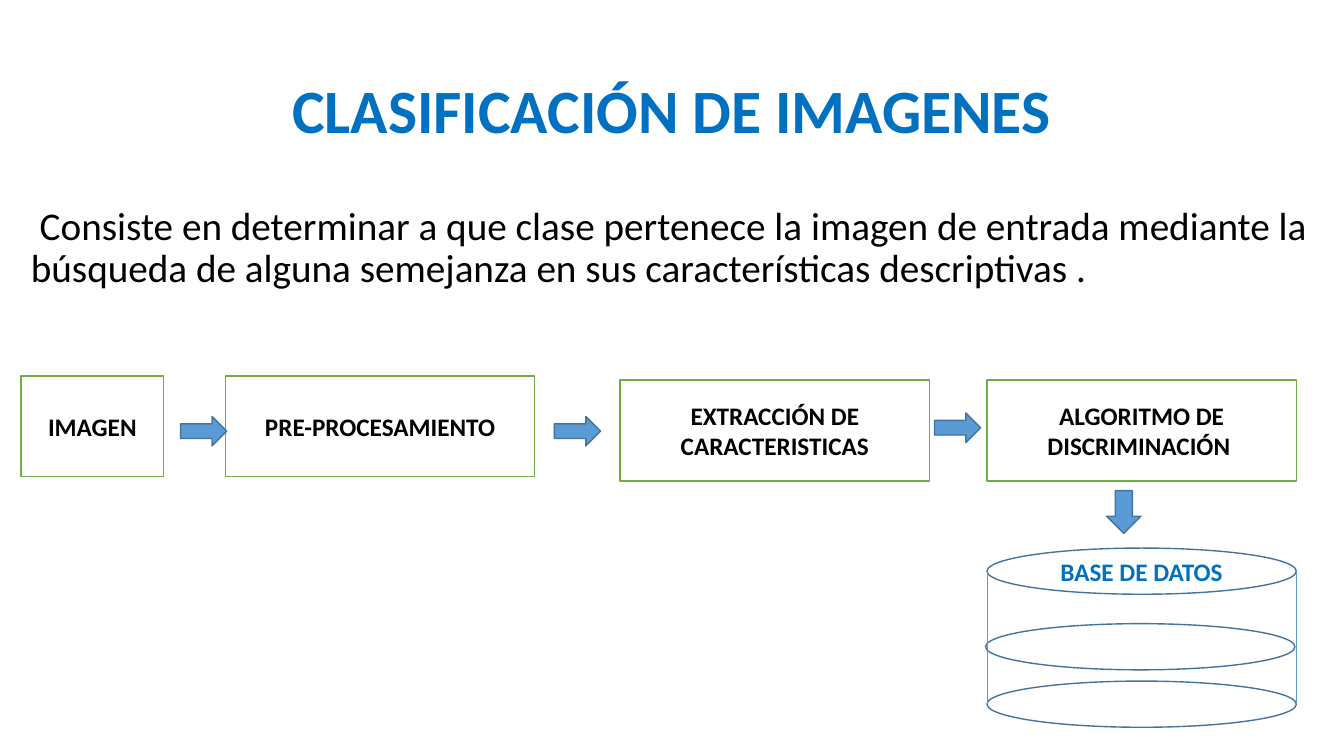
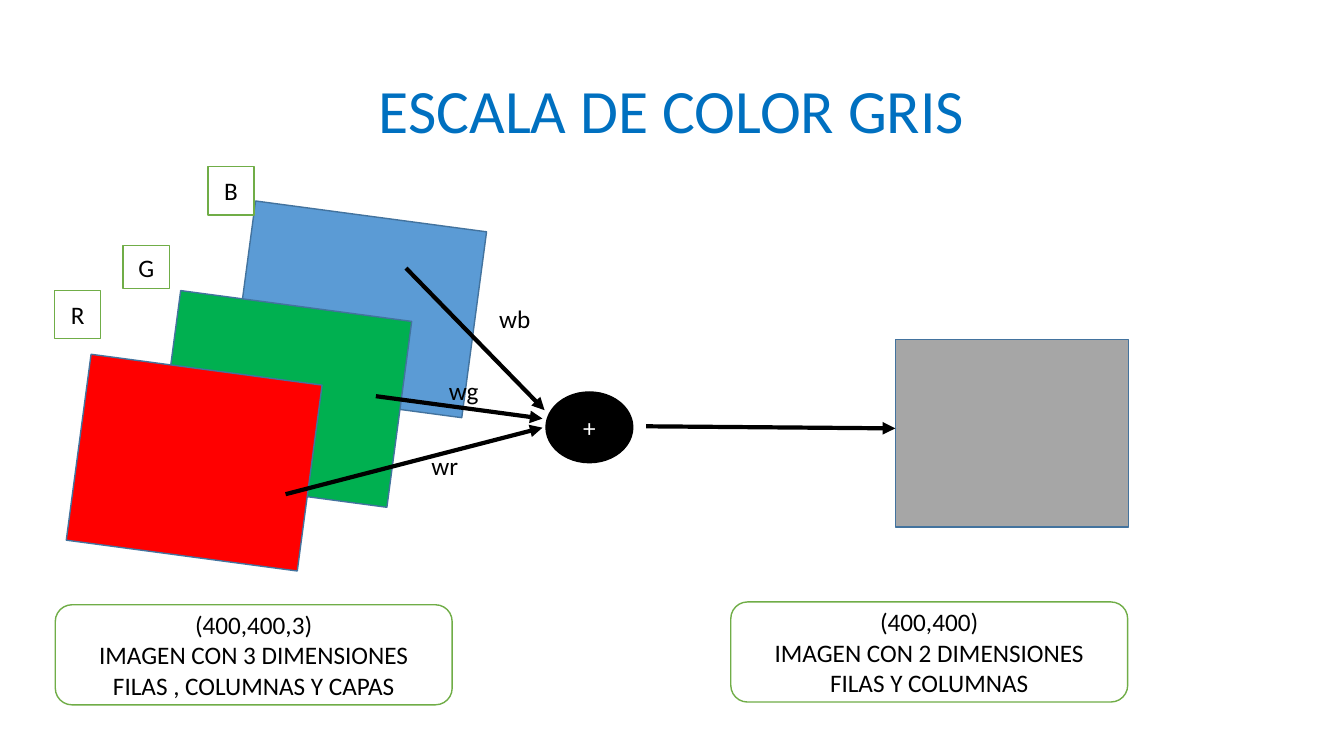
from lxml import etree
from pptx import Presentation
from pptx.dml.color import RGBColor
from pptx.enum import shapes, text
from pptx.oxml import ns
from pptx.util import Pt

BLACK = RGBColor(0x00, 0x00, 0x00)
WHITE = RGBColor(0xFF, 0xFF, 0xFF)
TITLE_BLUE = RGBColor(0x00, 0x70, 0xC0)
BLUE = RGBColor(0x5B, 0x9B, 0xD5)
DARK_BLUE = RGBColor(0x43, 0x73, 0x9E)
LEAF = RGBColor(0x70, 0xAD, 0x47)
GREEN = RGBColor(0x00, 0xB0, 0x50)
RED = RGBColor(0xFF, 0x00, 0x00)
GRAY = RGBColor(0xA6, 0xA6, 0xA6)

KIND = shapes.MSO_SHAPE
CENTER = text.PP_ALIGN.CENTER
MIDDLE = text.MSO_ANCHOR.MIDDLE


class Deck:
    FONT = "Calibri"

    def __init__(self):
        self.prs = Presentation()
        self.prs.slide_width, self.prs.slide_height = Pt(960), Pt(540)
        self.slide = None

    def new_slide(self, title, bold=False):
        self.slide = self.prs.slides.add_slide(self.prs.slide_layouts[6])
        self.label(title, 66, 29, 828, 104, size=44, color=TITLE_BLUE, bold=bold, spacing=0.9)

    def set_words(self, frame, lines, size=18, color=BLACK, bold=False,
                  align=CENTER, anchor=MIDDLE, spacing=None):
        """Fill a text frame, one paragraph per line of text."""
        frame.word_wrap = True
        frame.vertical_anchor = anchor
        for index, line in enumerate(lines.split("\n")):
            paragraph = frame.add_paragraph() if index else frame.paragraphs[0]
            paragraph.alignment = align
            paragraph.line_spacing = spacing
            run = paragraph.add_run()
            run.text = line
            run.font.name, run.font.size, run.font.bold = self.FONT, Pt(size), bold
            run.font.color.rgb = color

    def label(self, words, x, y, width, height, **style):
        """Add text that has no outline."""
        box = self.slide.shapes.add_textbox(Pt(x), Pt(y), Pt(width), Pt(height))
        self.set_words(box.text_frame, words, **style)

    def shape(self, kind, x, y, width, height, fill=None, line=DARK_BLUE,
              words="", rotation=0, **style):
        figure = self.slide.shapes.add_shape(kind, Pt(x), Pt(y), Pt(width), Pt(height))
        figure.shadow.inherit = False
        figure.rotation = rotation
        if fill is None:
            figure.fill.background()
        else:
            figure.fill.solid()
            figure.fill.fore_color.rgb = fill
        figure.line.color.rgb = line
        figure.line.width = Pt(1)
        if words:
            self.set_words(figure.text_frame, words, **style)

    def box(self, words, x, y, width, height, kind=KIND.RECTANGLE, **style):
        """Add a white box with a green outline."""
        self.shape(kind, x, y, width, height, WHITE, LEAF, words, **style)

    def line(self, start, end, color=BLACK, width=3, arrow=True):
        connector = self.slide.shapes.add_connector(
            shapes.MSO_CONNECTOR.STRAIGHT, *map(Pt, start + end))
        connector.line.color.rgb = color
        connector.line.width = Pt(width)
        properties = connector._element.spPr
        if arrow:
            etree.SubElement(properties.find(ns.qn("a:ln")), ns.qn("a:tailEnd"), type="triangle")
        etree.SubElement(properties, ns.qn("a:effectLst"))


def classification(deck):
    deck.new_slide("CLASIFICACIÓN DE IMAGENES", bold=True)
    deck.label(" Consiste en determinar a que clase pertenece la imagen de entrada mediante la "
               "búsqueda de alguna semejanza en sus características descriptivas .",
               15, 144, 945, 343, size=28, align=text.PP_ALIGN.LEFT,
               anchor=text.MSO_ANCHOR.TOP, spacing=0.9)

    step_width, step_height = 221, 72
    for words, x, y, width in (
            ("IMAGEN", 15, 268.5, 102),
            ("PRE-PROCESAMIENTO", 161, 268.5, step_width),
            ("EXTRACCIÓN DE CARACTERISTICAS", 443, 271.5, step_width),
            ("ALGORITMO DE DISCRIMINACIÓN ", 705, 271.5, step_width)):
        deck.box(words, x, y, width, step_height, bold=True)
    for x, y in ((129, 297.5), (396, 297.5), (667.5, 295)):
        deck.shape(KIND.RIGHT_ARROW, x, y, 33, 21, BLUE)
    deck.shape(KIND.DOWN_ARROW, 790.5, 350.5, 24.5, 30.5, BLUE)

    left, right, disc_height = 705, 705 + step_width, 33
    top, bottom = 391.5, 486.5
    for x, y, words in ((left, top, "BASE DE DATOS"), (left - 1, 445.5, ""), (left, bottom, "")):
        deck.shape(KIND.OVAL, x, y, step_width, disc_height, words=words,
                   color=TITLE_BLUE, bold=True)
    for x in (left, right):
        deck.line((x, top + disc_height / 2), (x, bottom + disc_height / 2), BLUE, 0.5, arrow=False)


def gray_scale(deck):
    deck.new_slide("ESCALA DE COLOR GRIS")
    image_size = (166.5, 134)
    for x, y, color in ((173, 154, BLUE), (119.5, 218, GREEN), (55.5, 263.5, RED)):
        deck.shape(KIND.RECTANGLE, x, y, *image_size, color, rotation=7.6)
    deck.shape(KIND.RECTANGLE, 639.5, 242.5, *image_size, GRAY)

    for start, end in (((204, 353), (387.5, 305.5)),
                       ((268.5, 283), (387.5, 299)),
                       ((290, 191.5), (389, 293)),
                       ((461.5, 304.5), (639.5, 306))):
        deck.line(start, end)
    deck.shape(KIND.OVAL, 390, 280, 62, 50.5, BLACK, BLACK, "+", color=WHITE)

    for channel, x, y, height in (("R", 39, 207.5, 34.5), ("G", 88, 175.5, 30.5),
                                  ("B", 148.5, 119, 34.5)):
        deck.box(channel, x, y, 33, height)
    for weight, x, y in (("wr", 294, 315.5), ("wg", 307.5, 261.5), ("wb", 344, 210)):
        deck.label(weight, x, y, 47.5, 34.5)
    for words, x, y in (
            ("(400,400,3)\nIMAGEN CON 3 DIMENSIONES\nFILAS , COLUMNAS Y CAPAS", 39.5, 432),
            ("(400,400)\nIMAGEN CON 2 DIMENSIONES\nFILAS Y COLUMNAS", 522, 430)):
        deck.box(words, x, y, 283.5, 71.5, KIND.ROUNDED_RECTANGLE)


def main():
    deck = Deck()
    classification(deck)
    gray_scale(deck)
    deck.prs.save("out.pptx")


if __name__ == "__main__":
    main()
